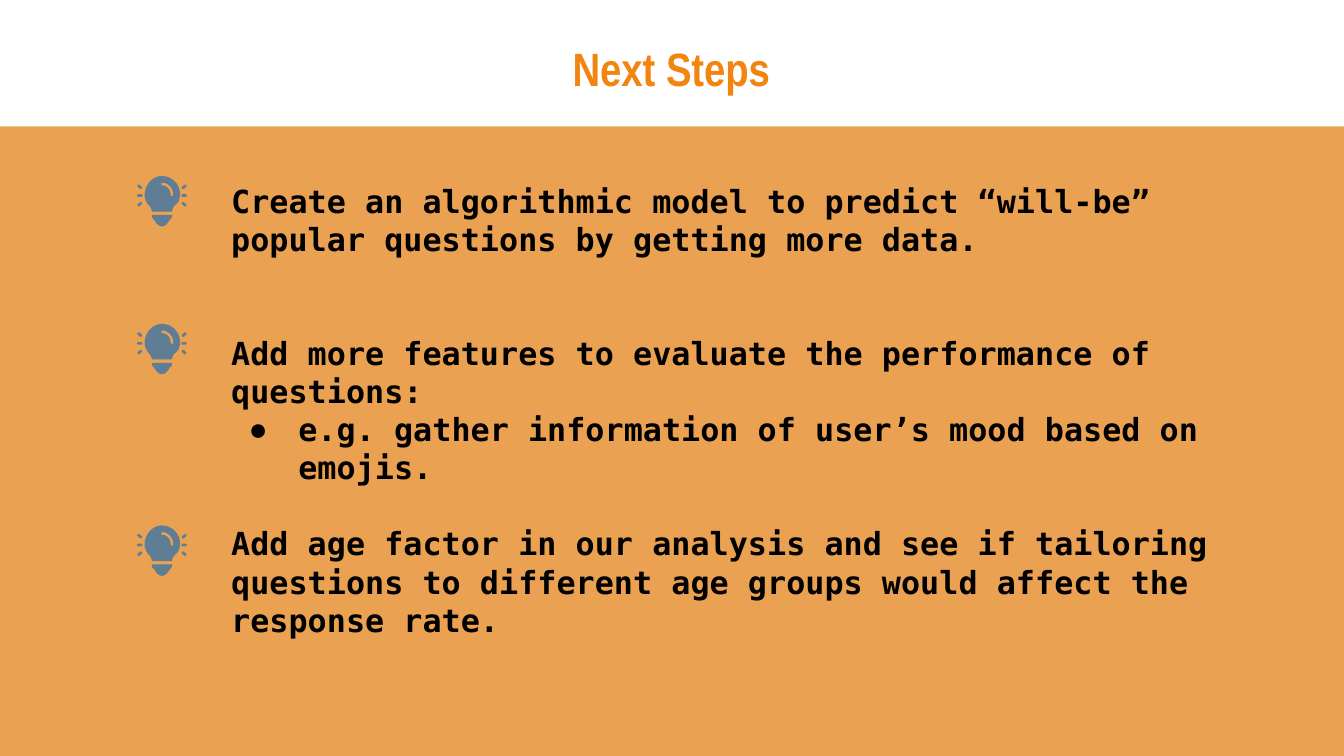
from lxml.etree import SubElement
from pptx import Presentation
from pptx.dml.color import RGBColor
from pptx.enum.shapes import MSO_SHAPE
from pptx.enum.text import MSO_ANCHOR, MSO_AUTO_SIZE, PP_ALIGN
from pptx.oxml.ns import qn
from pptx.util import Inches, Pt

SLIDE_WIDTH = Inches(10)
SLIDE_HEIGHT = SLIDE_WIDTH * 9 // 16
BAND_TOP = Inches(0.94)
ORANGE, BAND, BLUE, BLACK = "F28410", "EBA152", "5F7D95", "000000"
TITLE = "Next Steps"
LINE = 20.4  # height of one body line in points

# text, bulleted, blank lines before
STEPS = [
    ("Create an algorithmic model to predict “will-be” popular questions "
     "by getting more data.", False, 0),
    ("Add more features to evaluate the performance of questions:", False, 2),
    ("e.g. gather information of user’s mood based on emojis.", True, 0),
    ("Add age factor in our analysis and see if tailoring questions to "
     "different age groups would affect the response rate.", False, 1),
]

# Light bulb, in hundredths of an inch from its top left corner.
# Each outline is a start point, then lines (one point) and curves (three).
BULB_LEFT, BULB_TOPS = 1.02, (1.31, 2.41, 3.91)
GLASS = [(18.5, 0), [
    [(17.5, 0), (16.5, 0.2), (15.5, 0.4)], [(11, 1.6), (7, 6), (6, 11)],
    [(5, 15), (6, 19), (9, 22)], [(10, 23), (11, 25), (11, 26.5)],
    [(26, 26.5)],
    [(26, 25), (27, 23), (28, 22)], [(31, 20), (32, 17), (32, 13.5)],
    [(32, 6), (26, 0), (18.5, 0)]]]
HIGHLIGHT = [(19, 5), [
    [(23, 5), (27, 9), (27, 14)], [(27, 14.5), (26.5, 15), (26, 15)],
    [(25.5, 15), (25, 14.5), (25, 14)], [(25, 10), (22, 7), (19, 7)],
    [(18.5, 7), (18, 6.5), (18, 6)], [(18, 5.5), (18.5, 5), (19, 5)]]]
BASE = [(11, 29), [
    [(11, 30)],
    [(11, 31), (12, 32), (13, 33)], [(14, 35), (16, 37.5), (18.5, 37.5)],
    [(21, 37.5), (23, 35), (24, 33)], [(25, 32), (26, 31), (26, 30)],
    [(26, 29)]]]
RAYS = [(side, y, angle * turn) for side, turn in ((2, 1), (35, -1))
        for y, angle in ((8, 40), (14.5, 0), (21, -40))]


def paint(shape, color):
    shape.fill.solid()
    shape.fill.fore_color.rgb = RGBColor.from_string(color)
    shape.line.fill.background()
    shape.shadow.inherit = False


def set_font(paragraph, name, size, color):
    font = paragraph.font
    font.name, font.size, font.bold = name, Pt(size), True
    font.color.rgb = RGBColor.from_string(color)


def place(shape, left, top, width, height):
    shape.left, shape.top = Inches(left), Inches(top)
    shape.width, shape.height = Inches(width), Inches(height)
    frame = shape.text_frame
    frame.word_wrap, frame.auto_size = True, MSO_AUTO_SIZE.NONE
    frame.vertical_anchor = MSO_ANCHOR.TOP
    frame.margin_left = frame.margin_right = Inches(0.1)
    frame.margin_top = frame.margin_bottom = Inches(0.1)
    return frame


def set_bullet(paragraph, bulleted):
    properties = paragraph._p.get_or_add_pPr()
    properties.set("marL", str(Inches(0.5 if bulleted else 0)))
    properties.set("indent", str(Inches(-0.37 if bulleted else 0)))
    if bulleted:
        SubElement(properties, qn("a:buChar")).set("char", "●")
    else:
        SubElement(properties, qn("a:buNone"))


def trace(start, segments, steps=8):
    """Turn lines and cubic curves into a list of points."""
    points = [start]
    for segment in segments:
        if len(segment) == 1:
            points += segment
            continue
        corners = [points[-1], *segment]
        for step in range(1, steps + 1):
            t = step / steps
            weights = ((1 - t) ** 3, 3 * t * (1 - t) ** 2,
                       3 * t * t * (1 - t), t ** 3)
            points.append(tuple(sum(w * c[axis] for w, c in zip(weights, corners))
                                for axis in (0, 1)))
    return points


def add_outline(shapes, outlines, top):
    builder = None
    for outline in outlines:
        first, *rest = [(Inches(BULB_LEFT + x / 100), Inches(top + y / 100))
                        for x, y in trace(*outline)]
        if builder is None:
            builder = shapes.build_freeform(*first)
        else:
            builder.move_to(*first)
        builder.add_line_segments(rest, close=True)
    paint(builder.convert_to_shape(), BLUE)


def add_bulb(slide, top):
    shapes = slide.shapes.add_group_shape().shapes
    add_outline(shapes, [BASE], top)
    add_outline(shapes, [GLASS, HIGHLIGHT], top)
    for x, y, angle in RAYS:
        ray = shapes.add_shape(
            MSO_SHAPE.ROUNDED_RECTANGLE,
            Inches(BULB_LEFT + (x - 2) / 100), Inches(top + (y - 1) / 100),
            Inches(0.04), Inches(0.02))
        ray.adjustments[0] = 0.5
        ray.rotation = angle
        paint(ray, BLUE)


def main():
    presentation = Presentation()
    presentation.slide_width = SLIDE_WIDTH
    presentation.slide_height = SLIDE_HEIGHT
    slide = presentation.slides.add_slide(presentation.slide_layouts[1])
    title, body = slide.placeholders

    band = slide.shapes.add_shape(MSO_SHAPE.RECTANGLE, 0, BAND_TOP,
                                  SLIDE_WIDTH, SLIDE_HEIGHT - BAND_TOP)
    paint(band, BAND)
    title.element.addprevious(band.element)  # behind the text

    heading = place(title, 3.45, 0.2, 3.09, 0.62).paragraphs[0]
    heading.text, heading.alignment = TITLE, PP_ALIGN.CENTER
    set_font(heading, "Arial Narrow", 25, ORANGE)

    frame = place(body, 1.62, 1.25, 7.85, 3.64)
    for index, (text, bulleted, blank_lines) in enumerate(STEPS):
        paragraph = frame.add_paragraph() if index else frame.paragraphs[0]
        paragraph.text = text
        paragraph.space_before = Pt(blank_lines * LINE)
        set_bullet(paragraph, bulleted)
        set_font(paragraph, "DejaVu Sans Mono", 17, BLACK)

    for top in BULB_TOPS:
        add_bulb(slide, top)
    presentation.save("out.pptx")


if __name__ == "__main__":
    main()
